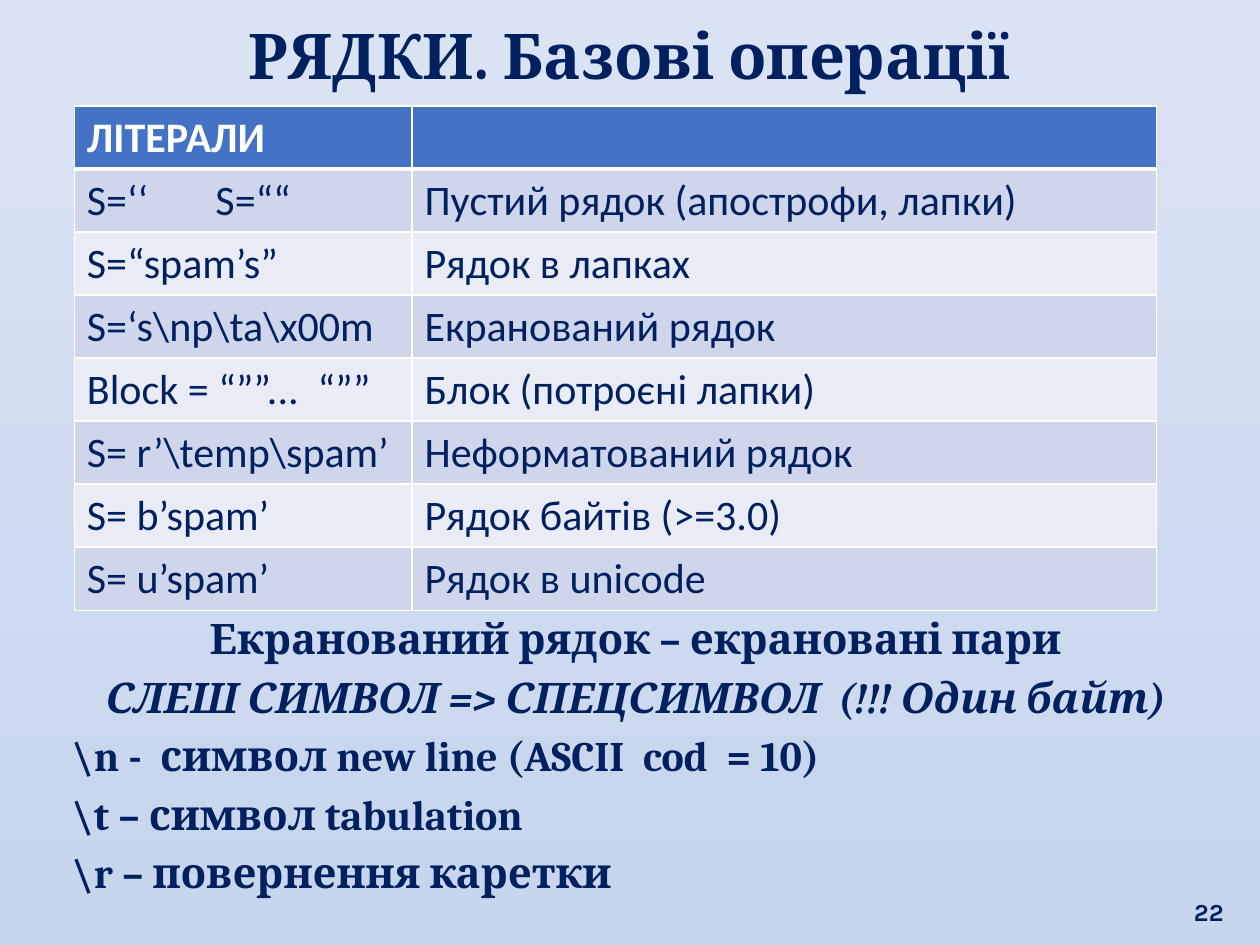
from dataclasses import dataclass

from lxml.etree import SubElement
from pptx import Presentation
from pptx.dml.color import RGBColor as Rgb
from pptx.enum.text import MSO_ANCHOR as Anchor, PP_ALIGN as Align
from pptx.oxml import parse_xml
from pptx.oxml.ns import nsdecls, qn
from pptx.util import Inches, Pt

HUES = {
    "navy": "002060", "white": "FFFFFF", "head": "4472C4",
    "odd": "CFD5EA", "even": "E9EBF5", "top": "DAE3F3", "base": "C7D5ED",
}


@dataclass
class Line:
    text: str
    align: Align = Align.LEFT
    italic: bool = False


@dataclass
class Box:
    left: float
    top: float
    width: float
    height: float
    lines: list[Line]
    size: int
    font: str = "Cambria"
    anchor: Anchor = Anchor.TOP
    gap: float = 0
    pitch: float = 1.0


ROWS = [
    ("ЛІТЕРАЛИ", ""),
    ("S=‘‘\tS=““", "Пустий рядок (апострофи, лапки)"),
    ("S=“spam’s”", "Рядок в лапках"),
    (r"S=‘s\np\ta\x00m", "Екранований рядок"),
    ("Block = “””...  “””", "Блок (потроєні лапки)"),
    (r"S= r’\temp\spam’", "Неформатований рядок"),
    ("S= b’spam’", "Рядок байтів (>=3.0)"),
    ("S= u’spam’", "Рядок в unicode"),
]
COLS = (2.68, 5.91)
ROW_H = 0.5

BOXES = [
    # Title
    Box(0.12, 0.08, 9.76, 0.71,
        [Line("РЯДКИ. Базові операції", Align.CENTER)], 36),
    # Slide number
    Box(9.33, 6.9, 0.48, 0.5, [Line("22", Align.RIGHT)], 14, "Karla",
        Anchor.BOTTOM),
    # Escape pairs
    Box(0.48, 4.86, 9.13, 2.37, [
        Line("Екранований рядок – екрановані пари", Align.CENTER),
        Line("СЛЕШ СИМВОЛ => СПЕЦСИМВОЛ  (!!! Один байт)", Align.CENTER, True),
        Line(r"\n -  символ new line (ASCII  cod  = 10)"),
        Line(r"\t – символ tabulation"),
        Line(r"\r – повернення каретки"),
    ], 24, gap=7.5, pitch=0.9),
]


def hue(name: str) -> Rgb:
    return Rgb.from_string(HUES[name])


def style(font, face: str, size: int, tone: str, bold: bool) -> None:
    font.name, font.size, font.bold = face, Pt(size), bold
    font.color.rgb = hue(tone)


def draw_box(slide, box: Box) -> None:
    place = map(Inches, (box.left, box.top, box.width, box.height))
    frame = slide.shapes.add_textbox(*place).text_frame
    frame.word_wrap = True
    frame.vertical_anchor = box.anchor
    frame.text = "\n".join(line.text for line in box.lines)
    for i, (para, line) in enumerate(zip(frame.paragraphs, box.lines)):
        para.alignment = line.align
        para.line_spacing = box.pitch
        if i:
            para.space_before = Pt(box.gap)
        for run in para.runs:
            style(run.font, box.font, box.size, "navy", True)
            run.font.italic = line.italic


def add_edges(cell, top: int, base: int) -> None:
    props = cell._tc.get_or_add_tcPr()
    for i, (side, width) in enumerate(
            (("L", 1), ("R", 1), ("T", top), ("B", base))):
        props.insert(i, parse_xml(
            f'<a:ln{side} {nsdecls("a")} w="{Pt(width)}"><a:solidFill>'
            f'<a:srgbClr val="{HUES["white"]}"/></a:solidFill></a:ln{side}>'))


def add_tab(para, place: float) -> None:
    tabs = SubElement(para._p.get_or_add_pPr(), qn("a:tabLst"))
    SubElement(tabs, qn("a:tab"), pos=str(Inches(place)), algn="l")


def fill_cell(cell, text: str, row: int) -> None:
    head = row == 0
    cell.text_frame.text = text
    para = cell.text_frame.paragraphs[0]
    if "\t" in text:
        add_tab(para, 1.02)
    tone = "white" if head else "navy"
    style(para.font, "Calibri", 24, tone, head)
    for run in para.runs:
        style(run.font, "Calibri", 24, tone, head)
    cell.fill.solid()
    cell.fill.fore_color.rgb = hue(
        "head" if head else "odd" if row % 2 else "even")
    add_edges(cell, 3 if row == 1 else 1, 3 if head else 1)


def draw_table(slide) -> None:
    table = slide.shapes.add_table(
        len(ROWS), len(COLS), Inches(0.59), Inches(0.84),
        Inches(sum(COLS)), Inches(ROW_H * len(ROWS))).table
    for col, width in zip(table.columns, COLS):
        col.width = Inches(width)
    for r, texts in enumerate(ROWS):
        for c, text in enumerate(texts):
            fill_cell(table.cell(r, c), text, r)


def paint_back(slide) -> None:
    fill = slide.background.fill
    fill.gradient()
    fill.gradient_angle = 270
    for stop, name in zip(fill.gradient_stops, ("top", "base")):
        stop.color.rgb = hue(name)


def main() -> None:
    deck = Presentation()
    deck.slide_width, deck.slide_height = Inches(10), Inches(7.5)
    slide = deck.slides.add_slide(deck.slide_layouts[6])
    paint_back(slide)
    for box in BOXES:
        draw_box(slide, box)
    draw_table(slide)
    deck.save("out.pptx")


if __name__ == "__main__":
    main()
